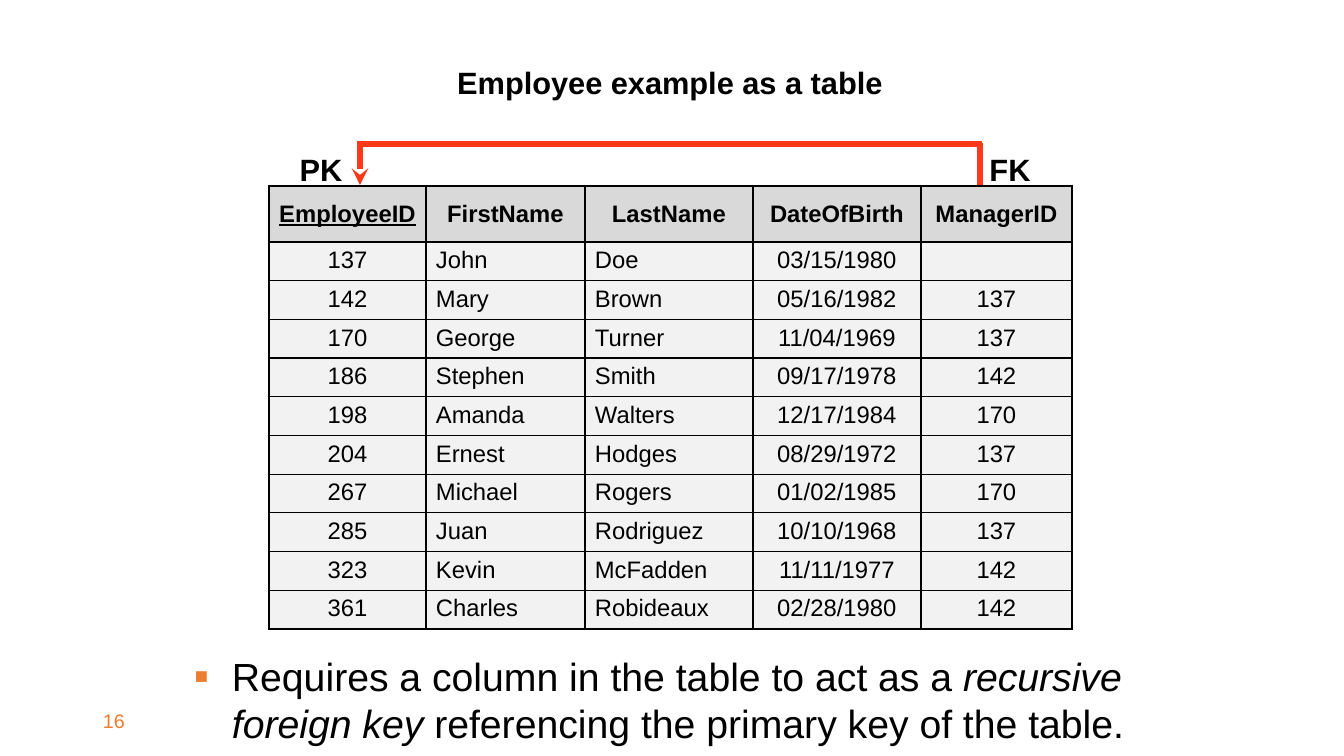
"""Build the slide that shows the employee example as a table."""
from lxml import etree
from pptx import Presentation
from pptx.dml.color import RGBColor
from pptx.enum import shapes, text
from pptx.oxml import ns, parse_xml
from pptx.util import Pt

PX = 914400 / 100.8
MID = text.PP_ALIGN.CENTER
LEFT = text.PP_ALIGN.LEFT
BLACK, ORANGE, RED = "000000", "ED7D31", "FF381A"


def px(*vals):
    return [round(v * PX) for v in vals]


def style(para, size, color=BLACK, bold=False, align=LEFT):
    para.alignment = align
    font = para.font
    font.name, font.size, font.bold = "Arial", Pt(size), bold
    font.color.rgb = RGBColor.from_string(color)


deck = Presentation()
deck.slide_width, deck.slide_height = px(1344, 756)
slide = deck.slides.add_slide(deck.slide_layouts[5])

title = slide.shapes.title
title.left, title.top, title.width, title.height = px(444, 59, 452, 47)
frame = title.text_frame
frame.text = "Employee example as a table"
frame.word_wrap = False
frame.auto_size = text.MSO_AUTO_SIZE.NONE
frame.vertical_anchor = text.MSO_ANCHOR.TOP
style(frame.paragraphs[0], 22, bold=True, align=MID)

for key, left in ("FK", 972), ("PK", 283):
    frame = slide.shapes.add_textbox(*px(left, 146, 76, 47)).text_frame
    frame.text = key
    frame.word_wrap = True
    frame.margin_left, frame.margin_right = px(5, 5)
    style(frame.paragraphs[0], 22, bold=True, align=MID)

frame = slide.shapes.add_textbox(*px(93, 701, 302, 40)).text_frame
frame.text = "16"
frame.word_wrap = True
frame.vertical_anchor = text.MSO_ANCHOR.MIDDLE
style(frame.paragraphs[0], 14, ORANGE)

frame = slide.shapes.add_textbox(*px(184, 647, 991, 101)).text_frame
frame.word_wrap = True
para = frame.paragraphs[0]
for words, slant in (
    ("Requires a column in the table to act as a ", False),
    ("recursive foreign key ", True),
    ("referencing the primary key of the table.", False),
):
    run = para.add_run()
    run.text = words
    run.font.italic = slant
style(para, 28)
props = para._p.get_or_add_pPr()
indent, = px(38)
props.set("marL", str(indent))
props.set("indent", str(-indent))
bullet = parse_xml(
    f'<a:b {ns.nsdecls("a")}><a:buClr><a:srgbClr val="{ORANGE}"/></a:buClr>'
    '<a:buSzPct val="110000"/><a:buFont typeface="Arial"/>'
    '<a:buChar char="▪"/></a:b>')
for spot, part in enumerate(list(bullet)):
    props.insert(spot, part)

rows = [
    ("EmployeeID", "FirstName", "LastName", "DateOfBirth", "ManagerID"),
    ("137", "John", "Doe", "03/15/1980", ""),
    ("142", "Mary", "Brown", "05/16/1982", "137"),
    ("170", "George", "Turner", "11/04/1969", "137"),
    ("186", "Stephen", "Smith", "09/17/1978", "142"),
    ("198", "Amanda", "Walters", "12/17/1984", "170"),
    ("204", "Ernest", "Hodges", "08/29/1972", "137"),
    ("267", "Michael", "Rogers", "01/02/1985", "170"),
    ("285", "Juan", "Rodriguez", "10/10/1968", "137"),
    ("323", "Kevin", "McFadden", "11/11/1977", "142"),
    ("361", "Charles", "Robideaux", "02/28/1980", "142"),
]
widths = px(157, 159, 168, 168, 151)
head, body = px(56, 387)
last, end = len(rows) - 1, len(widths) - 1
grid = slide.shapes.add_table(
    len(rows), len(widths), *px(269, 186, 803, 443)).table
grid.first_row = grid.horz_banding = False
for col, width in zip(grid.columns, widths):
    col.width = width
for r, row in enumerate(rows):
    grid.rows[r].height = body // last if r else head
    for c, words in enumerate(row):
        cell = grid.cell(r, c)
        cell.text = words
        cell.margin_left, cell.margin_right = px(10, 10)
        cell.margin_top, cell.margin_bottom = px(5, 5)
        names = r > 0 and c in (1, 2)
        para = cell.text_frame.paragraphs[0]
        style(para, 17, bold=r == 0, align=LEFT if names else MID)
        if r == 0:
            cell.vertical_anchor = text.MSO_ANCHOR.MIDDLE
            para.font.underline = c == 0
        thick = {"L": c == 0, "R": c == end, "T": r < 2, "B": r in (0, last)}
        for side, heavy in thick.items():
            cell._tc.get_or_add_tcPr().append(parse_xml(
                f'<a:ln{side} {ns.nsdecls("a")} w="{Pt(2.25 if heavy else 1)}">'
                f'<a:solidFill><a:srgbClr val="{BLACK}"/></a:solidFill>'
                f'</a:ln{side}>'))
        cell.fill.solid()
        cell.fill.fore_color.rgb = RGBColor.from_string(
            "F2F2F2" if r else "D9D9D9")

for ends in (357, 144, 982, 144), (980, 143, 980, 185), (360, 143, 360, 185):
    link = slide.shapes.add_connector(
        shapes.MSO_CONNECTOR.STRAIGHT, *px(*ends))
    link.line.width = Pt(4)
    link.line.color.rgb = RGBColor.from_string(RED)
    etree.SubElement(link._element.spPr, ns.qn("a:effectLst"))
etree.SubElement(link.line._get_or_add_ln(), ns.qn("a:tailEnd"), type="stealth")

deck.save("out.pptx")
